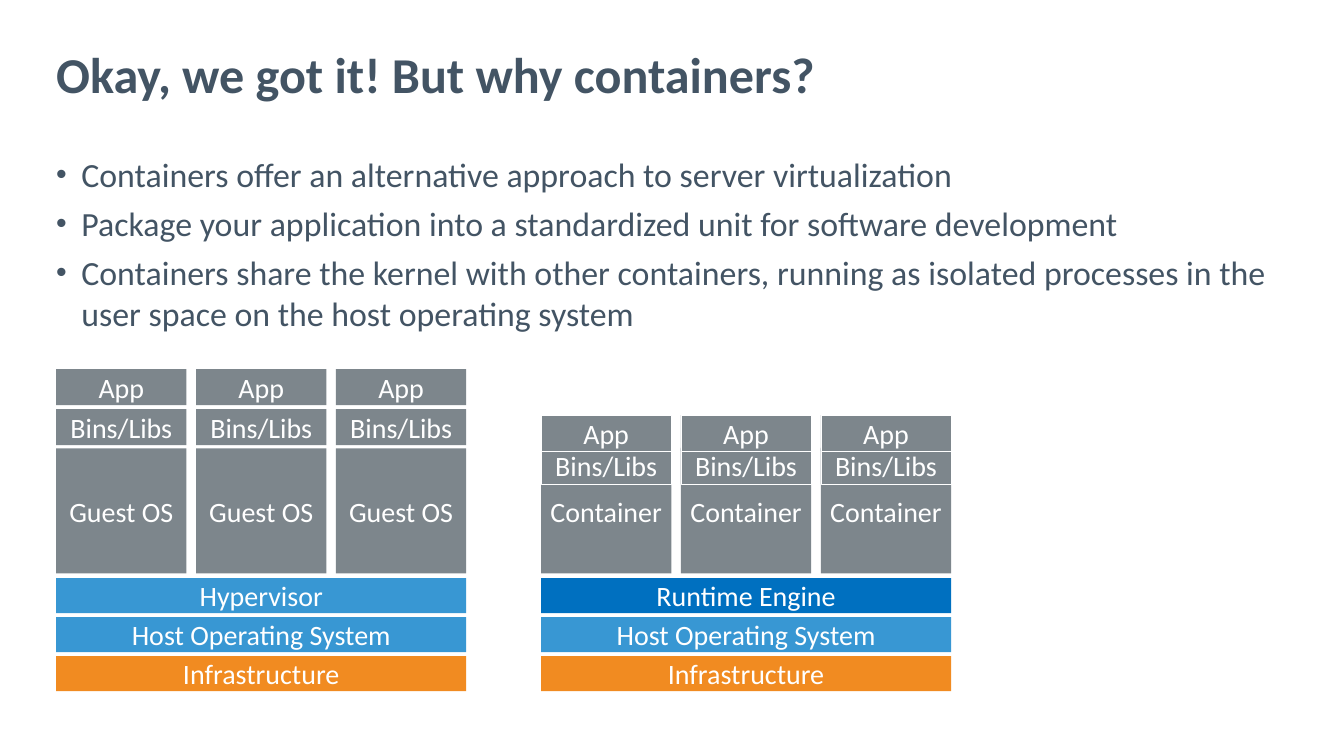
import dataclasses

import lxml.etree
import pptx
import pptx.dml.color
import pptx.enum.shapes
import pptx.enum.text
import pptx.oxml.ns
import pptx.util

Cm = pptx.util.Cm
Pt = pptx.util.Pt


@dataclasses.dataclass(frozen=True)
class Theme:
    face: str = "Calibri"
    ink: str = "435464"
    white: str = "FFFFFF"
    grey: str = "7D868C"
    sky: str = "3897D3"
    blue: str = "0070C0"
    orange: str = "F18B21"
    title: int = 43
    body: int = 29
    label: int = 24


THEME = Theme()
LEFT = 1.7
WIDTH = 12.4
COLUMN = 3.94
STEP = 4.23
BASE_TOP = 17.48
BASE_STEP = 1.18
POINTS = (
    "Containers offer an alternative approach to server virtualization",
    "Package your application into a standardized unit for software development",
    "Containers share the kernel with other containers, running as isolated "
    "processes in the user space on the host operating system",
)


def color(code):
    return pptx.dml.color.RGBColor.from_string(code)


def style(para, size, code, bold=False):
    font = para.font
    font.name = THEME.face
    font.size = Pt(size)
    font.bold = bold
    font.color.rgb = color(code)


def place(holder, top, height):
    holder.left, holder.top = Cm(LEFT), Cm(top)
    holder.width, holder.height = Cm(37.25), Cm(height)
    frame = holder.text_frame
    frame.margin_left = frame.margin_right = 0
    frame.margin_top = frame.margin_bottom = 0
    frame.vertical_anchor = pptx.enum.text.MSO_ANCHOR.TOP
    frame.word_wrap = True
    frame.auto_size = pptx.enum.text.MSO_AUTO_SIZE.NONE
    return frame


def bullet(para):
    props = para._p.get_or_add_pPr()
    props.set("marL", str(Cm(0.76)))
    props.set("indent", str(-Cm(0.76)))
    for tag, key, value in (("a:buSzPct", "val", "90000"), ("a:buChar", "char", "•")):
        mark = lxml.etree.SubElement(props, pptx.oxml.ns.qn(tag))
        mark.set(key, value)


def add_title(slide, text):
    frame = place(slide.shapes.title, 1.52, 1.7)
    frame.text = text
    para = frame.paragraphs[0]
    para.alignment = pptx.enum.text.PP_ALIGN.LEFT
    para.line_spacing = 0.9
    style(para, THEME.title, THEME.ink, True)


def add_list(slide, points):
    frame = place(slide.placeholders[1], 4.65, 13.36)
    frame.text = "\n".join(points)
    for index, para in enumerate(frame.paragraphs):
        bullet(para)
        para.space_before = Pt(7.2 if index else 0)
        style(para, THEME.body, THEME.ink)


def add_box(group, text, left, top, width, height, fill, edge=False):
    box = group.shapes.add_shape(
        pptx.enum.shapes.MSO_SHAPE.RECTANGLE,
        Cm(left), Cm(top), Cm(width), Cm(height))
    box.shadow.inherit = False
    box.fill.solid()
    box.fill.fore_color.rgb = color(fill)
    if edge:
        box.line.color.rgb = color(THEME.white)
        box.line.width = Pt(0.25)
    else:
        box.line.fill.background()
    frame = box.text_frame
    frame.word_wrap = True
    frame.vertical_anchor = pptx.enum.text.MSO_ANCHOR.MIDDLE
    frame.text = text
    para = frame.paragraphs[0]
    para.alignment = pptx.enum.text.PP_ALIGN.CENTER
    style(para, THEME.label, THEME.white)


def add_stack(slide, left, layers, cells):
    group = slide.shapes.add_group_shape()
    for row, (text, fill) in enumerate(layers):
        top = BASE_TOP + row * BASE_STEP
        add_box(group, text, left, top, WIDTH, 1.06, fill)
    for text, top, height, edge in cells:
        for col in range(3):
            add_box(group, text, left + col * STEP, top, COLUMN, height,
                    THEME.grey, edge)


def main():
    deck = pptx.Presentation()
    deck.slide_width, deck.slide_height = Cm(40.64), Cm(22.86)
    slide = deck.slides.add_slide(deck.slide_layouts[1])
    add_title(slide, "Okay, we got it! But why containers?")
    add_list(slide, POINTS)
    shared = (("Host Operating System", THEME.sky), ("Infrastructure", THEME.orange))
    add_stack(slide, LEFT, (("Hypervisor", THEME.sky), *shared), (
        ("Guest OS", 13.56, 3.78, False),
        ("Bins/Libs", 12.37, 1.09, False),
        ("App", 11.16, 1.09, False),
    ))
    add_stack(slide, 16.36, (("Runtime Engine", THEME.blue), *shared), (
        ("Container", 13.56, 3.78, False),
        ("Bins/Libs", 13.54, 1.09, True),
        ("App", 12.55, 1.09, True),
    ))
    deck.save("out.pptx")


if __name__ == "__main__":
    main()
